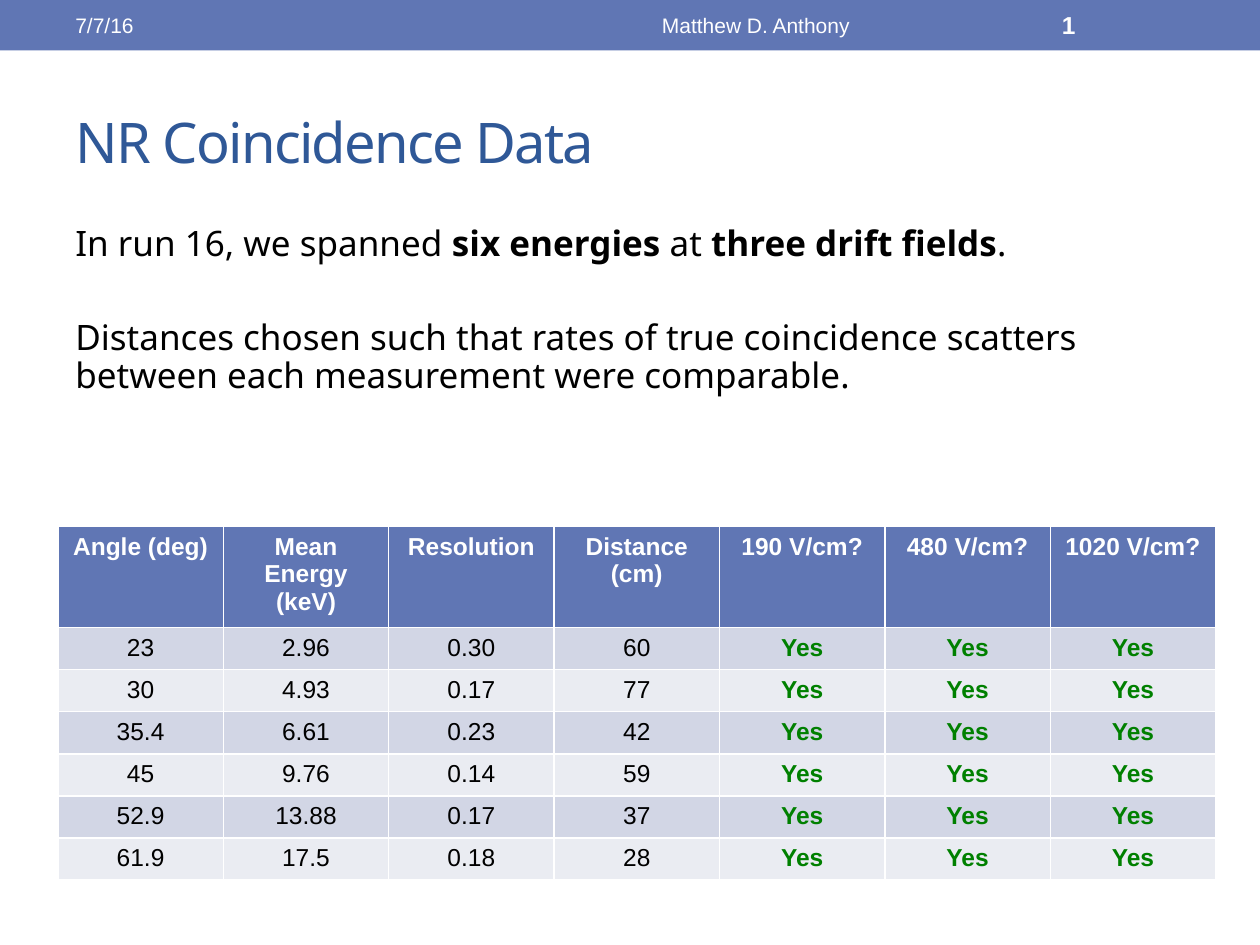
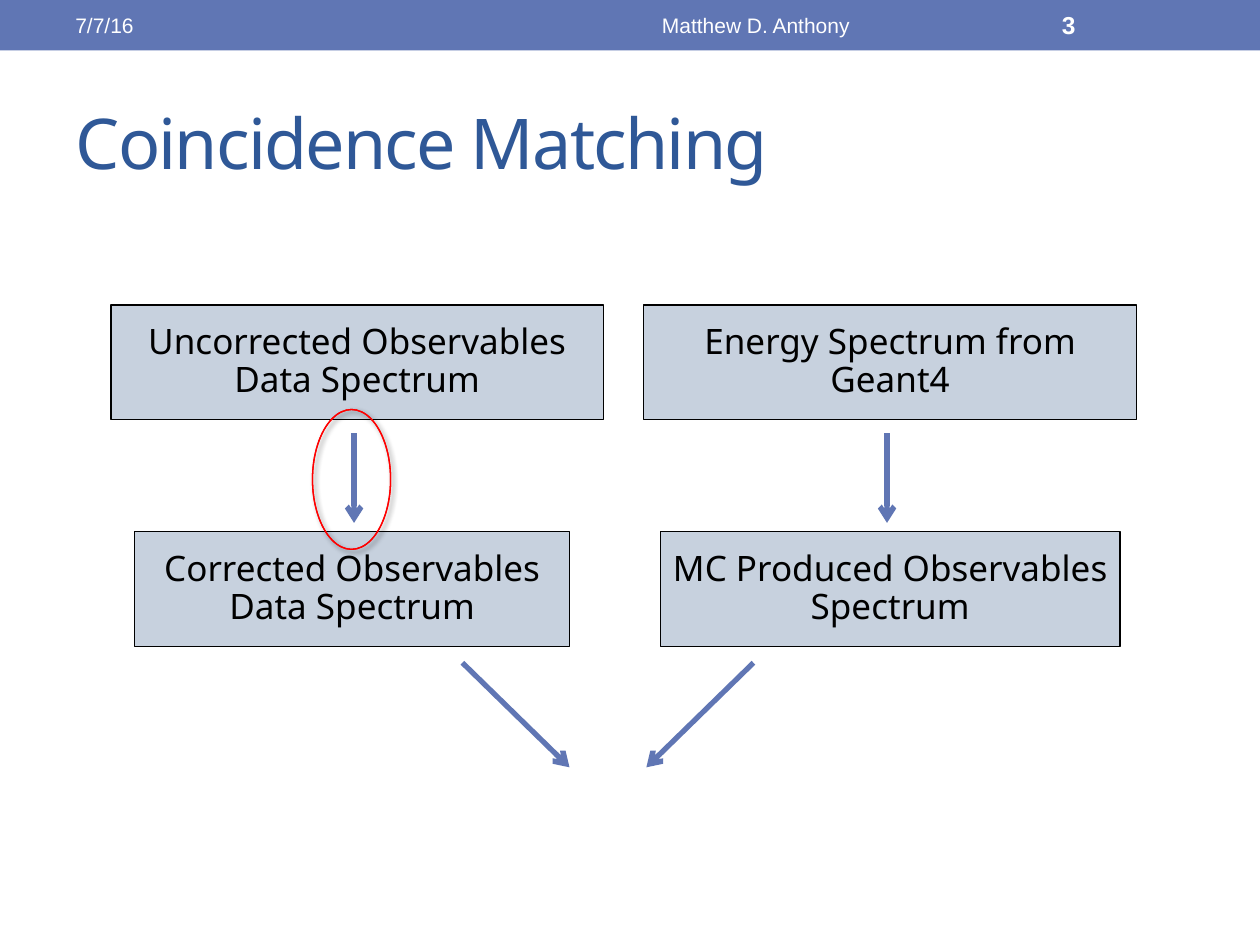
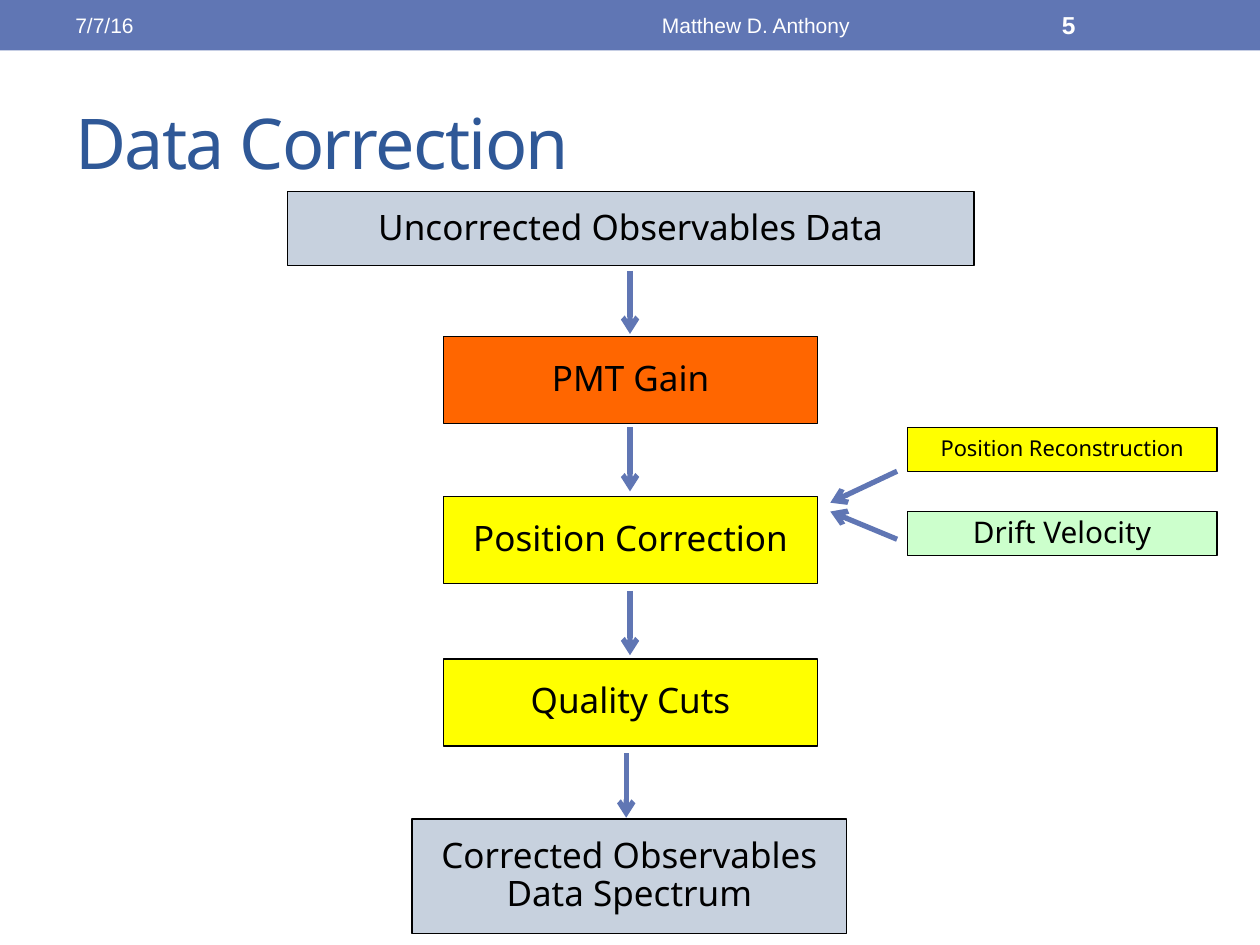
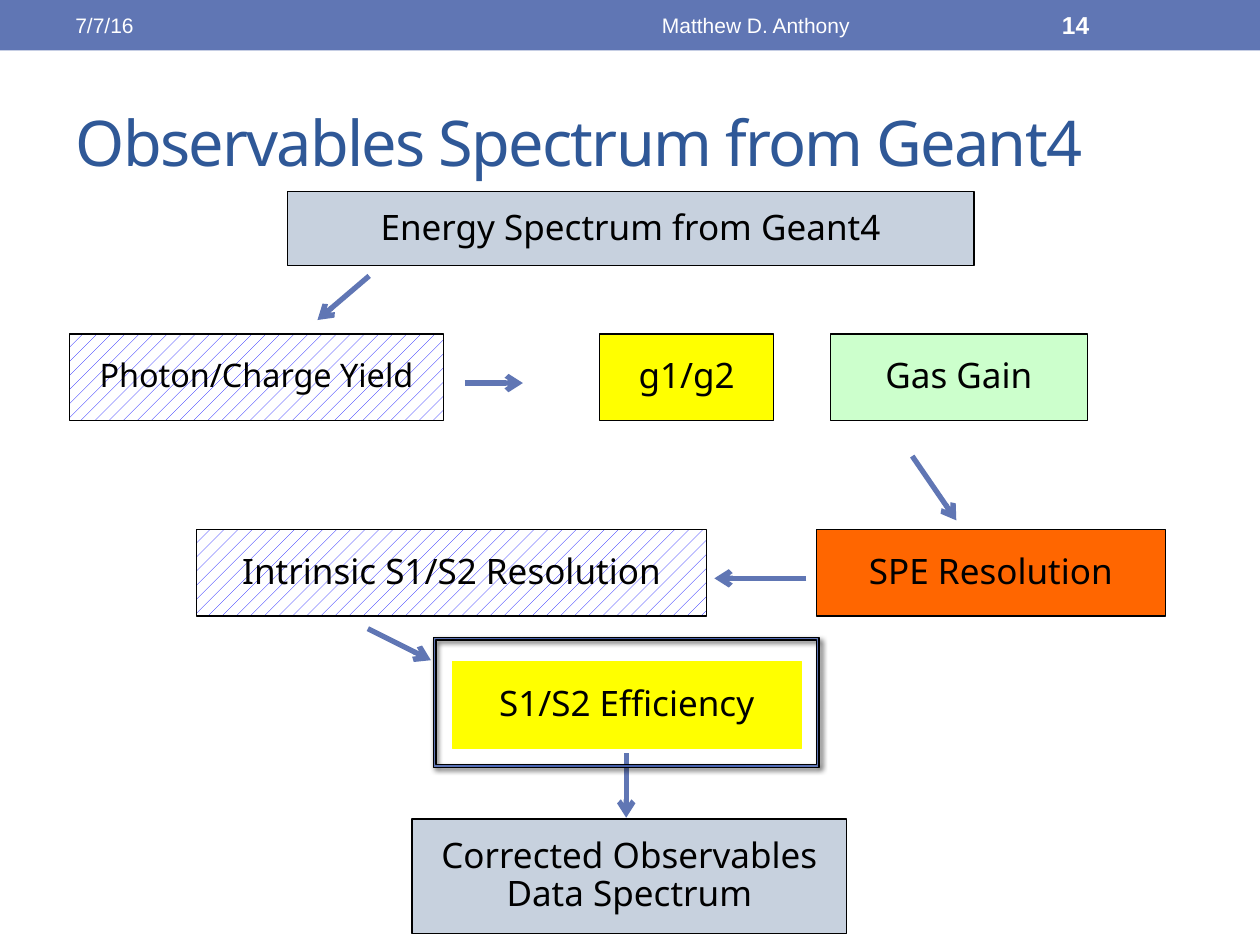
"""Build four slides on nuclear-recoil coincidence data and its processing chain."""
from lxml import etree
from pptx import Presentation
from pptx import util as u
from pptx.dml.color import RGBColor
from pptx.enum import dml, shapes, text
from pptx.oxml import parse_xml
from pptx.oxml.ns import nsdecls, qn

BLUE, NAVY, WHITE, BLACK = "6076B4", "2F5897", "FFFFFF", "000000"
GREY, ORANGE, YELLOW, MINT = "C7D1DE", "FF6600", "FFFF00", "CCFFCC"
RED, GREEN, HATCH = "FF0000", "008000", "0000FF"
BANDS = "EAECF2", "D2D6E5"
SANS, ARIAL = "Noto Sans", "Arial"
LEFT, CENTER = text.PP_ALIGN.LEFT, text.PP_ALIGN.CENTER
TOP, MIDDLE = text.MSO_ANCHOR.TOP, text.MSO_ANCHOR.MIDDLE
RECT = shapes.MSO_SHAPE.RECTANGLE


def rgb(value):
    """Return the colour for a hex string."""
    return RGBColor.from_string(value)


def write(tf, content, size=20, font=SANS, color=BLACK, bold=False, align=CENTER,
          anchor=MIDDLE, before=0, leading=None, tracking=0):
    """Fill a text frame; newlines part paragraphs and ** toggles bold."""
    tf.word_wrap = True
    tf.vertical_anchor = anchor
    for n, line in enumerate(content.split("\n")):
        p = tf.add_paragraph() if n else tf.paragraphs[0]
        p.alignment = align
        p.space_before = u.Pt(before)
        p.line_spacing = leading
        for i, part in enumerate(line.split("**")):
            r = p.add_run()
            r.text = part
            r.font.size, r.font.name = u.Pt(size), font
            r.font.bold = bold or i % 2 == 1
            r.font.color.rgb = rgb(color)
            if tracking:
                r.font._element.set("spc", str(tracking * 100))


prs = Presentation()
prs.slide_width, prs.slide_height = u.Inches(10), u.Inches(7.5)
unit = prs.slide_width // 10
layout = prs.slide_layouts[5]

mid_x, mid_w, mid_h = 3.52, 2.97, 0.69
side_x, side_w, side_h = 7.2, 2.46, 0.35
start_box = (2.28, 1.52, 5.45, 0.59)
end_box = ("Corrected Observables Data Spectrum", 3.27, 6.5, 3.45, 0.91, GREY, 20)
end_arrow = (4.97, 5.98, 4.97, 6.49)
row_1, row_2 = 2.65, 4.2

pages = [
    ("NR Coincidence Data", 32, "1", [], []),
    ("Coincidence Matching", 40, "3", [
        ("Uncorrected Observables Data Spectrum", 0.88, 2.42, 3.91, 0.91, GREY, 20),
        ("Energy Spectrum from Geant4", 5.11, 2.42, 3.91, 0.91, GREY, 20),
        ("Corrected Observables Data Spectrum", 1.07, 4.22, 3.45, 0.91, GREY, 20),
        ("MC Produced Observables Spectrum", 5.24, 4.22, 3.65, 0.91, GREY, 20),
    ], [
        (2.81, 3.44, 2.81, 4.15), (7.04, 3.44, 7.04, 4.15),
        (3.67, 5.26, 4.52, 6.09), (5.98, 5.26, 5.13, 6.09),
    ]),
    ("Data Correction", 40, "5", [
        ("Uncorrected Observables Data", *start_box, GREY, 20),
        ("PMT Gain", mid_x, 2.67, mid_w, mid_h, ORANGE, 20),
        ("Position Correction", mid_x, 3.94, mid_w, mid_h, YELLOW, 20),
        ("Quality Cuts", mid_x, 5.23, mid_w, mid_h, YELLOW, 20),
        ("Position Reconstruction", side_x, 3.39, side_w, side_h, YELLOW, 12.5),
        ("Drift Velocity", side_x, 4.06, side_w, side_h, MINT, 17),
        end_box,
    ], [
        (5, 2.15, 5, 2.65), (5, 3.39, 5, 3.9), (5, 4.69, 5, 5.2), end_arrow,
        (7.12, 3.74, 6.59, 3.99), (7.12, 4.28, 6.59, 4.06),
    ]),
    ("Observables Spectrum from Geant4", 36, "14", [
        ("Energy Spectrum from Geant4", *start_box, GREY, 20),
        ("Photon/Charge Yield", 0.55, row_1, mid_w, mid_h, HATCH, 18.5),
        ("g1/g2", 4.76, row_1, 1.38, mid_h, YELLOW, 20),
        ("Gas Gain", 6.59, row_1, 2.04, mid_h, MINT, 20),
        ("SPE Resolution", 6.48, row_2, 2.77, mid_h, ORANGE, 20),
        ("Intrinsic S1/S2 Resolution", 1.56, row_2, 4.05, mid_h, HATCH, 20),
        ("S1/S2 Efficiency", 3.59, 5.25, 2.77, mid_h, YELLOW, 20),
        end_box,
    ], [
        (2.93, 2.19, 2.52, 2.54), (3.69, 3.04, 4.15, 3.04), (7.24, 3.62, 7.59, 4.13),
        (6.4, 4.59, 5.67, 4.59), (2.92, 4.99, 3.42, 5.24), end_arrow,
    ]),
]

for title, title_size, number, boxes, arrows in pages:
    s = prs.slides.add_slide(layout)
    sp = s.shapes.title
    sp.left, sp.top, sp.width, sp.height = [int(v * unit) for v in (0.5, 0.58, 9, 1.08)]
    write(sp.text_frame, title, size=title_size, color=NAVY, align=LEFT, tracking=-1)

    for content, x, w, align, size in (("7/7/16", 0.5, 3.17, LEFT, 12),
                                       ("Matthew D. Anthony", 3.75, 4.5, CENTER, 12),
                                       (number, 8.33, 1.17, LEFT, 14)):
        sp = s.shapes.add_textbox(*[int(v * unit) for v in (x, 0.02, w, 0.36)])
        write(sp.text_frame, content, size=size, font=ARIAL, color=WHITE,
              bold=content == number, align=align)

    for ends in arrows:
        c = s.shapes.add_connector(shapes.MSO_CONNECTOR.STRAIGHT, *[int(v * unit) for v in ends])
        c.line.color.rgb, c.line.width = rgb(BLUE), u.Pt(3)
        spPr = c.element.spPr
        etree.SubElement(spPr.find(qn("a:ln")), qn("a:tailEnd"), type="arrow")
        etree.SubElement(spPr, qn("a:effectLst"))

    for content, x, y, w, h, color, size in boxes:
        sp = s.shapes.add_shape(RECT, *[int(v * unit) for v in (x, y, w, h)])
        sp.shadow.inherit = False
        if color == HATCH:
            sp.fill.patterned()
            sp.fill.pattern = dml.MSO_PATTERN.PERCENT_10
            sp.fill.fore_color.rgb, sp.fill.back_color.rgb = rgb(HATCH), rgb(WHITE)
        else:
            sp.fill.solid()
            sp.fill.fore_color.rgb = rgb(color)
        sp.line.color.rgb = rgb(YELLOW if content == "S1/S2 Efficiency" else BLACK)
        sp.line.width = u.Pt(0.75)
        tf = sp.text_frame
        tf.margin_left = tf.margin_right = u.Inches(0.08)
        write(tf, content, size=size, before=size * 0.2, leading=0.9)

data_slide, matching_slide, _, spectrum_slide = prs.slides

band = data_slide.shapes.add_shape(RECT, 0, 0, prs.slide_width, int(0.4 * unit))
band.shadow.inherit = False
band.fill.solid()
band.fill.fore_color.rgb = rgb(BLUE)
band.line.fill.background()
layout.shapes.element.insert(2, band.element)

sp = data_slide.shapes.add_textbox(*[int(v * unit) for v in (0.5, 1.75, 9, 2.12)])
write(sp.text_frame, "In run 16, we spanned **six energies** at **three drift fields**.\n"
      "Distances chosen such that rates of true coincidence scatters between each "
      "measurement were comparable.", align=LEFT, anchor=TOP, before=4, leading=0.9)
sp.text_frame.paragraphs[1].space_before = u.Pt(32)

header = ["Angle (deg)", "Mean Energy (keV)", "Resolution", "Distance (cm)",
          "190 V/cm?", "480 V/cm?", "1020 V/cm?"]
runs = [("23", "2.96", "0.30", "60"), ("30", "4.93", "0.17", "77"),
        ("35.4", "6.61", "0.23", "42"), ("45", "9.76", "0.14", "59"),
        ("52.9", "13.88", "0.17", "37"), ("61.9", "17.5", "0.18", "28")]
rows = [header] + [[*run, "Yes", "Yes", "Yes"] for run in runs]
table = data_slide.shapes.add_table(
    len(rows), len(header), *[int(v * unit) for v in (0.46, 4.18, 9.19, 2.66)]).table
for i, row in enumerate(rows):
    table.rows[i].height = int((0.32 if i else 0.74) * unit)
    for j, value in enumerate(row):
        cell = table.cell(i, j)
        cell.fill.solid()
        cell.fill.fore_color.rgb = rgb(BANDS[i % 2] if i else BLUE)
        color = WHITE if i == 0 else GREEN if value == "Yes" else BLACK
        write(cell.text_frame, value, size=14, font=ARIAL, color=color, bold=color != BLACK)
        cell.vertical_anchor = TOP

for s, kind, box, adjust, color in (
        (matching_slide, shapes.MSO_SHAPE.DONUT, (2.48, 3.25, 0.62, 1.11), 0, RED),
        (spectrum_slide, shapes.MSO_SHAPE.FRAME, (3.44, 5.06, 3.06, 1.03), 0.02, BLACK)):
    sp = s.shapes.add_shape(kind, *[int(v * unit) for v in box])
    sp.adjustments[0] = adjust
    sp.fill.solid()
    sp.fill.fore_color.rgb = sp.line.color.rgb = rgb(color)
    sp.line.width = u.Pt(0.75)
    sp.shadow.inherit = False
    spPr = sp.element.spPr
    spPr.find(qn("a:effectLst")).append(parse_xml(
        f'<a:outerShdw {nsdecls("a")} blurRad="{u.Pt(3)}" dist="{u.Pt(2)}" dir="2700000">'
        f'<a:srgbClr val="{BLACK}"><a:alpha val="60000"/></a:srgbClr></a:outerShdw>'))

stops = "".join(f'<a:gs pos="{pos}000"><a:srgbClr val="{color}"/></a:gs>' for pos, color in
                ((0, "405CAC"), (34, "445EA9"), (70, "4C69BC"), (100, BLUE)))
spPr.replace(spPr.find(qn("a:solidFill")), parse_xml(
    f'<a:gradFill {nsdecls("a")}><a:gsLst>{stops}</a:gsLst><a:path path="circle">'
    '<a:fillToRect l="100000" t="100000" r="100000" b="100000"/></a:path></a:gradFill>'))

prs.save("out.pptx")
